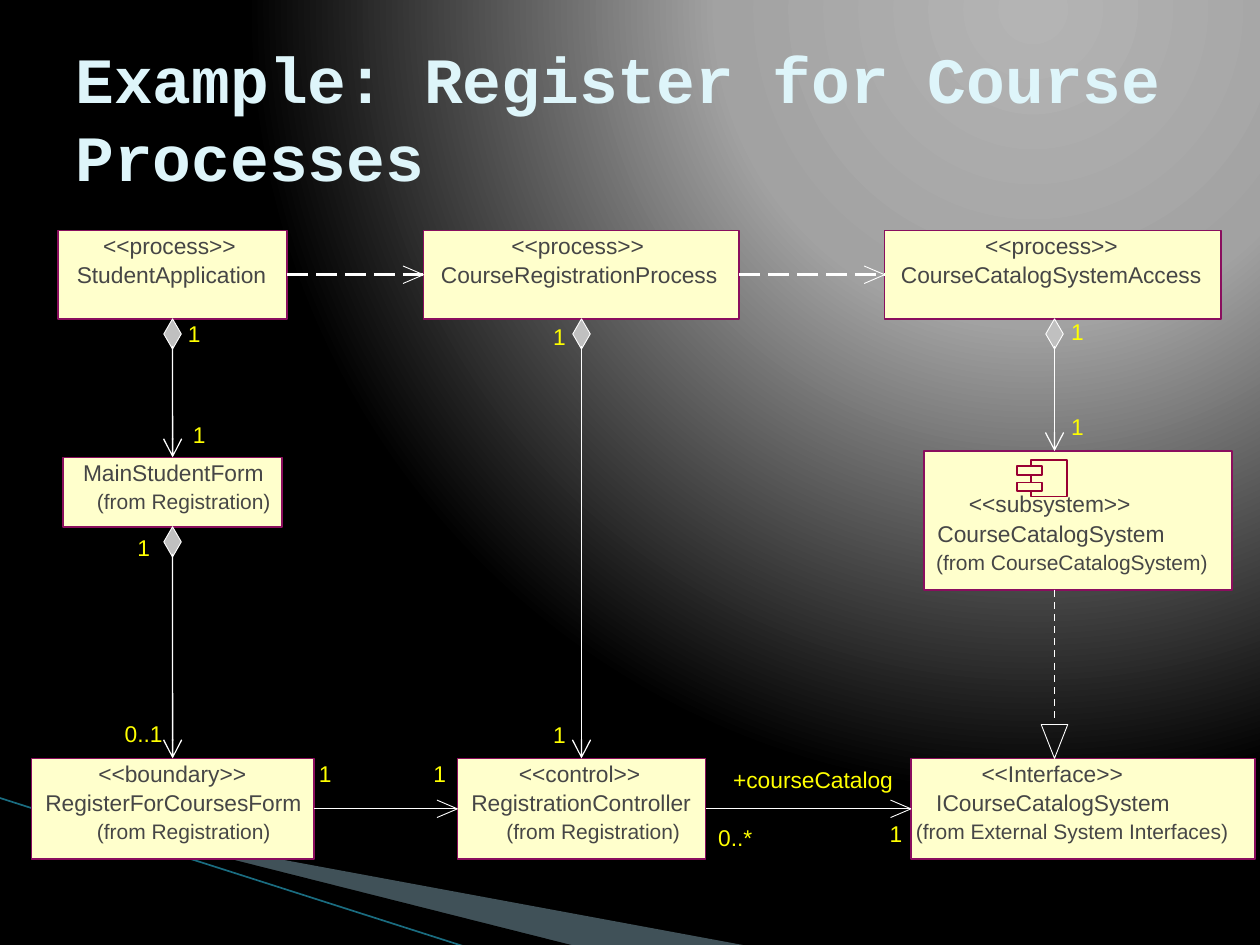
from dataclasses import dataclass

from lxml import etree
from pptx import Presentation
from pptx import util as u
from pptx.dml.color import RGBColor
from pptx.enum import dml, shapes, text
from pptx.oxml import ns

Pt = u.Pt
WHITE = RGBColor(0xFF, 0xFF, 0xFF)
BLACK = RGBColor(0x00, 0x00, 0x00)
CREAM = RGBColor(0xFF, 0xFF, 0xCC)
PLUM = RGBColor(0x8A, 0x0E, 0x5E)
CRIMSON = RGBColor(0x99, 0x00, 0x33)
SILVER = RGBColor(0xC0, 0xC0, 0xC0)
INK = RGBColor(0x46, 0x46, 0x46)
YELLOW = RGBColor(0xFF, 0xFF, 0x00)
ICE = RGBColor(0xDE, 0xF5, 0xFA)
MIST = RGBColor(0xA0, 0xCB, 0xDC)
TEAL = RGBColor(0x1A, 0x6C, 0x80)
GLOW = ((0, "B4B4B4"), (40000, "A2A2A2"), (100000, "000000"))

TOP_ROW, BOTTOM_ROW = 131.8, 433.4
LINE_PITCH = 16.8
HAIRLINE = 0.5
TOP, LEFT, BOTTOM, RIGHT = range(4)


@dataclass
class Label:
    text: str
    left: float
    width: float = 7.5
    top: float = 0


@dataclass
class Node:
    left: float
    top: float
    width: float
    height: float
    labels: tuple
    inset: float = 3.6


NODES = {
    "student": Node(33.1, TOP_ROW, 131, 50.4, (
        Label("<<process>>", 59, 76.3), Label("StudentApplication", 43.9, 108.7))),
    "registration": Node(242, TOP_ROW, 180.5, 50.4, (
        Label("<<process>>", 292.3, 76.3), Label("CourseRegistrationProcess", 252, 158.4))),
    "access": Node(505.5, TOP_ROW, 192.2, 50.4, (
        Label("<<process>>", 563, 76.3), Label("CourseCatalogSystemAccess", 514.8, 172.1))),
    "main": Node(36, 261.4, 125.3, 39.6, (
        Label("MainStudentForm", 47.5, 103.7), Label("(from Registration)", 55.4, 100.1))),
    "subsystem": Node(527.8, 257.8, 176.4, 79.2, (
        Label("<<subsystem>>", 553.7, 92.9), Label("CourseCatalogSystem", 535.7, 130.3),
        Label("(from CourseCatalogSystem)", 535, 156.2)), 25.2),
    "boundary": Node(18, BOTTOM_ROW, 161.3, 57.6, (
        Label("<<boundary>>", 56.2, 85), Label("RegisterForCoursesForm", 25.9, 146.9),
        Label("(from Registration)", 55.4, 100.1))),
    "control": Node(261.4, BOTTOM_ROW, 141.8, 57.6, (
        Label("<<control>>", 296.6, 69.8), Label("RegistrationController", 269.3, 126),
        Label("(from Registration)", 289.4, 100.1))),
    "interface": Node(520.6, BOTTOM_ROW, 196.6, 57.6, (
        Label("<<Interface>>", 560.9, 81.4), Label("ICourseCatalogSystem", 535, 133.9),
        Label("(from External System Interfaces)", 523.4, 180.7))),
}

MULTIPLICITIES = (
    Label("1", 107.3, top=185.8), Label("1", 110.2, top=243.4),
    Label("1", 78.5, top=308.2), Label("0..1", 71.3, 22, 414),
    Label("1", 316.1, top=187.2), Label("1", 316.1, top=414.7),
    Label("1", 612, top=184.3), Label("1", 612, top=239),
    Label("1", 182.2, top=437), Label("1", 247.7, top=437),
    Label("+courseCatalog", 419, 92, 440.6),
    Label("0..*", 410.4, 22, 473.8), Label("1", 508.3, top=471.6),
)


def paint_background(slide) -> None:
    slide.background.fill.gradient()
    gradient = slide.background._cSld.find(".//" + ns.qn("a:gradFill"))
    for child in list(gradient):
        gradient.remove(child)
    stops = etree.SubElement(gradient, ns.qn("a:gsLst"))
    for position, colour in GLOW:
        stop = etree.SubElement(stops, ns.qn("a:gs"), pos=str(position))
        etree.SubElement(stop, ns.qn("a:srgbClr"), val=colour)
    circle = etree.SubElement(gradient, ns.qn("a:path"))
    circle.set("path", "circle")
    etree.SubElement(circle, ns.qn("a:fillToRect"), l="65000", t="0", r="0", b="98000")


def add_wedge(slide, corners: tuple, colour: RGBColor):
    start, *rest = [(Pt(x), Pt(y)) for x, y in corners]
    builder = slide.shapes.build_freeform(*start)
    builder.add_line_segments(rest)
    wedge = builder.convert_to_shape()
    wedge.shadow.inherit = False
    wedge.fill.solid()
    wedge.fill.fore_color.rgb = colour
    wedge.line.fill.background()
    return wedge


def add_block(slide, kind, bounds: tuple, fill, edge: RGBColor, weight: float):
    block = slide.shapes.add_shape(kind, *map(Pt, bounds))
    block.shadow.inherit = False
    if fill is None:
        block.fill.background()
    else:
        block.fill.solid()
        block.fill.fore_color.rgb = fill
    block.line.color.rgb = edge
    block.line.width = Pt(weight)
    return block


def add_label(slide, label: Label, top: float, colour: RGBColor) -> None:
    size, height = (12, 11.5) if label.text.startswith("(") else (13, 15.8)
    frame = slide.shapes.add_textbox(
        Pt(label.left), Pt(top), Pt(label.width), Pt(height)).text_frame
    frame.margin_left = frame.margin_top = frame.margin_right = frame.margin_bottom = 0
    frame.word_wrap = False
    frame.auto_size = text.MSO_AUTO_SIZE.SHAPE_TO_FIT_TEXT
    frame.text = label.text
    paragraph = frame.paragraphs[0]
    paragraph.line_spacing = 0.8
    before = etree.SubElement(paragraph._p.get_or_add_pPr(), ns.qn("a:spcBef"))
    etree.SubElement(before, ns.qn("a:spcPct"), val="20000")
    style_run(paragraph, "Arial", size, colour)


def style_run(paragraph, face: str, size: float, colour: RGBColor, bold: bool = False) -> None:
    font = paragraph.runs[0].font
    font.name, font.size, font.bold = face, Pt(size), bold
    font.color.rgb = colour


def add_line(slide, start: tuple, end: tuple, weight: float = HAIRLINE,
             colour: RGBColor = WHITE, dash=None, arrow: bool = False):
    line = slide.shapes.add_connector(
        shapes.MSO_CONNECTOR.STRAIGHT, *map(Pt, start + end))
    line.line.color.rgb = colour
    line.line.width = Pt(weight)
    if dash is not None:
        line.line.dash_style = dash
    if arrow:
        etree.SubElement(line.line._get_or_add_ln(), ns.qn("a:tailEnd"),
                         type="arrow", w="lg", len="lg")
    etree.SubElement(line._element.spPr, ns.qn("a:effectLst"))
    return line


def link_across(slide, blocks: dict, source: str, target: str,
                weight: float = HAIRLINE, dash=None) -> None:
    origin, goal = NODES[source], NODES[target]
    tip = (goal.left, goal.top + goal.height / 2)
    line = add_line(slide, (origin.left + origin.width, tip[1]), tip, weight, dash=dash)
    line.begin_connect(blocks[source], RIGHT)
    line.end_connect(blocks[target], LEFT)
    for rise in (5, -5):
        add_line(slide, tip, (tip[0] - 11.7, tip[1] + rise))


def aggregate(slide, blocks: dict, source: str, target: str, x: float, centred: bool = True) -> None:
    top = NODES[source].top + NODES[source].height
    add_block(slide, shapes.MSO_SHAPE.DIAMOND, (x - 5, top, 10, 17.3), SILVER, WHITE, HAIRLINE)
    line = add_line(slide, (x, top + 15.5), (x, NODES[target].top), 0.75, arrow=True)
    if centred:
        line.end_connect(blocks[target], TOP)


def main() -> None:
    deck = Presentation()
    deck.slide_width, deck.slide_height = Pt(720), Pt(540)
    slide = deck.slides.add_slide(deck.slide_layouts[6])
    paint_background(slide)

    haze = add_wedge(slide, ((39.6, 468.7), (428.4, 540.7), (328.3, 540.7), (39.6, 468)), MIST)
    tint = haze._element.spPr.find(".//" + ns.qn("a:srgbClr"))
    etree.SubElement(tint, ns.qn("a:alpha"), val="40000")
    add_wedge(slide, ((38.2, 467.3), (329, 540.7), (267.8, 541.4), (38.9, 468)), BLACK)
    add_line(slide, (-0.7, 455.8), (267.1, 541.4), 0.95, TEAL)

    blocks = {}
    for name, node in NODES.items():
        bounds = (node.left, node.top, node.width, node.height)
        blocks[name] = add_block(slide, shapes.MSO_SHAPE.RECTANGLE, bounds, CREAM, PLUM, 1)
        for row, label in enumerate(node.labels):
            add_label(slide, label, node.top + node.inset + row * LINE_PITCH, INK)

    for source, target in (("student", "registration"), ("registration", "access")):
        link_across(slide, blocks, source, target, 1.5, dml.MSO_LINE.LONG_DASH)
    for source, target in (("boundary", "control"), ("control", "interface")):
        link_across(slide, blocks, source, target)
    aggregate(slide, blocks, "student", "main", 98.6)
    aggregate(slide, blocks, "main", "boundary", 98.6)
    aggregate(slide, blocks, "registration", "control", 332.3)
    aggregate(slide, blocks, "access", "subsystem", 602.6, centred=False)
    add_line(slide, (602.6, 337), (602.6, 413.3), 1, dash=dml.MSO_LINE.DASH)
    add_block(slide, shapes.MSO_SHAPE.FLOWCHART_MERGE, (595, 414, 15.2, 19.4),
              None, WHITE, HAIRLINE)
    for label in MULTIPLICITIES:
        add_label(slide, label, label.top, YELLOW)

    heading = slide.shapes.add_textbox(Pt(36), Pt(21.6), Pt(648), Pt(90)).text_frame
    heading.word_wrap = True
    heading.vertical_anchor = text.MSO_ANCHOR.MIDDLE
    heading.text = "Example: Register for Course Processes"
    style_run(heading.paragraphs[0], "Courier New", 36.9, ICE, bold=True)

    for bounds in ((589, 262.8, 20.9, 20.9), (581, 275.8, 14.4, 5), (581, 266.4, 14.4, 5)):
        add_block(slide, shapes.MSO_SHAPE.RECTANGLE, bounds, CREAM, CRIMSON, 1)
    deck.save("out.pptx")


if __name__ == "__main__":
    main()
